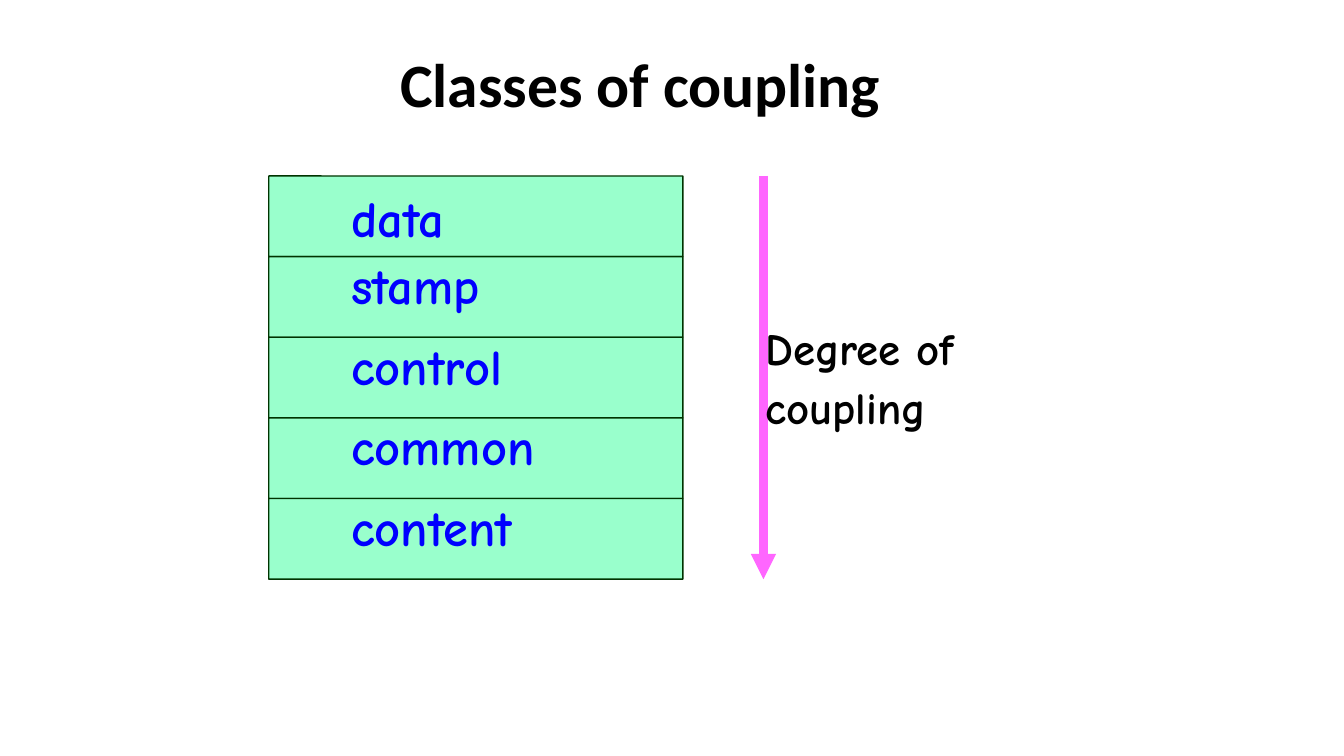
from lxml import etree
from pptx import Presentation
from pptx.dml.color import RGBColor
from pptx.enum.shapes import MSO_CONNECTOR, MSO_SHAPE
from pptx.enum.text import MSO_ANCHOR, PP_ALIGN
from pptx.oxml.ns import qn
from pptx.util import Pt

LEFT, CENTER = PP_ALIGN.LEFT, PP_ALIGN.CENTER
TOP, MIDDLE = MSO_ANCHOR.TOP, MSO_ANCHOR.MIDDLE
ROUND_RECT = MSO_SHAPE.ROUNDED_RECTANGLE
STRAIGHT = MSO_CONNECTOR.STRAIGHT

# Content
TITLE = "Classes of coupling"
CLASSES = ["data", "stamp", "control", "common", "content"]
DEGREE = "Degree of\ncoupling"

COLORS = {"black": "000000", "label": "0000FF", "box": "99FFCC",
          "border": "003300", "arrow": "FF66FF"}

# Layout in points
STACK_X, STACK_Y = 144, 94.3
BOX_W, BOX_H = 221.8, 43.2
LABEL_X, LABEL_W, LABEL_LIFT = 187.2, 189.4, 7.2
ARROW_X = 409


def rgb(name):
    return RGBColor.from_string(COLORS[name])


def add_text(s, text, x, y, w, h, size, color="black", font="Comic Neue",
             align=LEFT, anchor=TOP, before=0, spacing=1.1):
    tf = s.shapes.add_textbox(Pt(x), Pt(y), Pt(w), Pt(h)).text_frame
    tf.word_wrap = True
    tf.vertical_anchor = anchor
    tf.margin_left = tf.margin_right = Pt(0.9)
    tf.margin_top = tf.margin_bottom = Pt(2.7)
    p = tf.paragraphs[0]
    p.text = text
    p.alignment = align
    p.line_spacing = spacing
    p.space_before = Pt(before)
    for r in p.runs:
        r.font.name = font
        r.font.size = Pt(size)
        r.font.bold = True
        r.font.color.rgb = rgb(color)


prs = Presentation()
prs.slide_width, prs.slide_height = Pt(720), Pt(405)
s = prs.slides.add_slide(prs.slide_layouts[6])

# Title
add_text(s, TITLE, 113.8, 10.8, 458.6, 67, 33, font="Calibri",
         align=CENTER, anchor=MIDDLE, before=7.4, spacing=1.0)

# Stack of boxes
for i in range(len(CLASSES)):
    sp = s.shapes.add_shape(ROUND_RECT, Pt(STACK_X), Pt(STACK_Y + i * BOX_H),
                            Pt(BOX_W), Pt(BOX_H))
    sp.adjustments[0] = 0.003
    sp.shadow.inherit = False
    sp.fill.solid()
    sp.fill.fore_color.rgb = rgb("box")
    sp.line.color.rgb = rgb("border")
    sp.line.width = Pt(0.75)

# Labels: all but the first sit a little above their box
for i, name in enumerate(CLASSES):
    y = STACK_Y + i * BOX_H - (LABEL_LIFT if i else 0)
    add_text(s, name, LABEL_X, y, LABEL_W, BOX_H, 27, "label", before=10.2)

# Arrow along the stack
arrow = s.shapes.add_connector(STRAIGHT, Pt(ARROW_X), Pt(STACK_Y), Pt(ARROW_X),
                               Pt(STACK_Y + len(CLASSES) * BOX_H))
arrow.line.color.rgb = rgb("arrow")
arrow.line.width = Pt(4.5)
sp_pr = arrow._element.spPr
etree.SubElement(sp_pr.find(qn("a:ln")), qn("a:tailEnd"), type="triangle")
etree.SubElement(sp_pr, qn("a:effectLst"))

# Arrow caption
add_text(s, DEGREE, ARROW_X, 166.3, LABEL_W, 66.2, 24, before=8.5)

prs.save("out.pptx")
